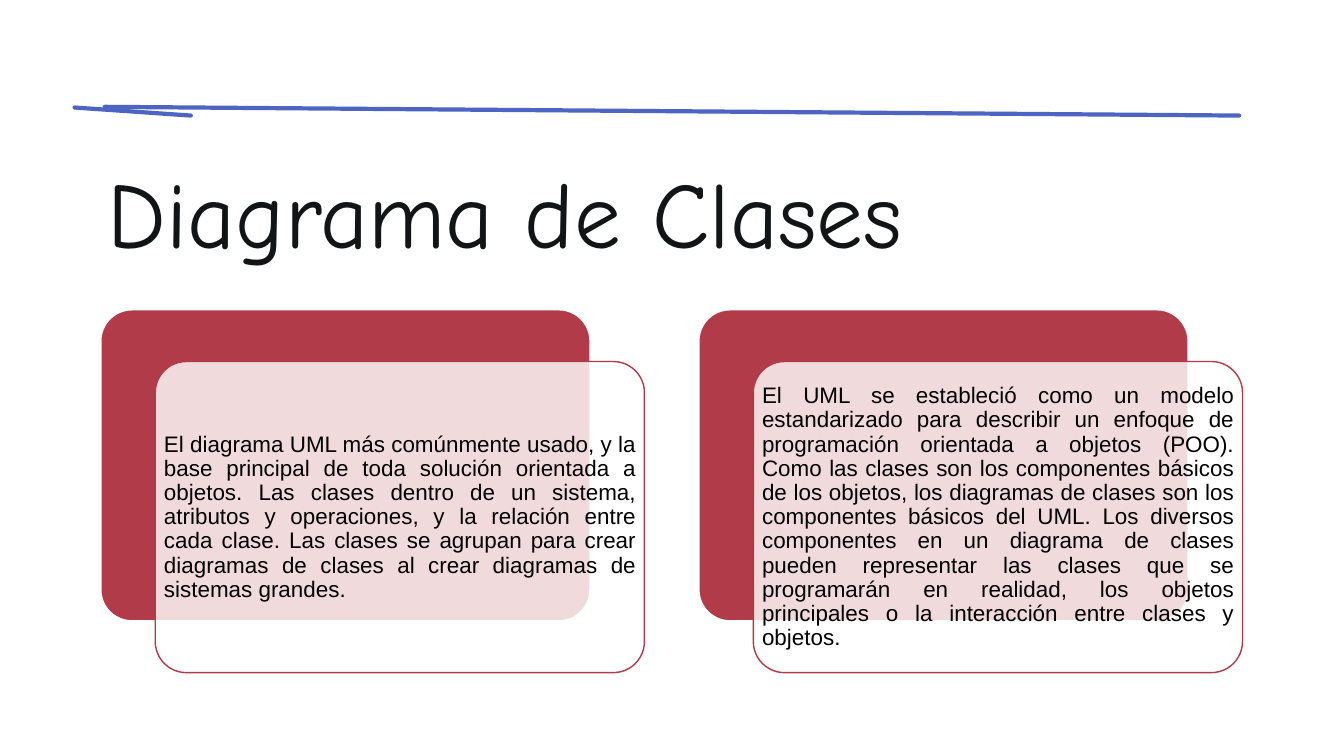
"""Builds the class diagram slide: a title under sketched rules and two layered cards."""
from dataclasses import dataclass

from lxml import etree
from pptx import Presentation
from pptx import util as u
from pptx.dml.color import RGBColor
from pptx.enum import shapes, text
from pptx.oxml.ns import qn


@dataclass(frozen=True)
class Theme:
    rule: str = "4D64C3"
    ink: str = "131416"
    body: str = "000000"
    card: str = "B13B48"
    paper: str = "FFFFFF"
    title_font: str = "Comic Neue"
    body_font: str = "Arial"
    title_size: float = 100
    title_leading: float = 115
    body_size: float = 24
    body_leading: float = 25.9
    rule_width: float = 4.5
    border_width: float = 1.5
    veil_opacity: int = 81


class SlideBuilder:
    COLUMNS, ROWS = 20, 11.25

    def __init__(self, presentation, theme):
        self.theme = theme
        self.column = presentation.slide_width / self.COLUMNS
        self.row = presentation.slide_height / self.ROWS
        self.slide = presentation.slides.add_slide(presentation.slide_layouts[6])

    def grid(self, *lengths):
        units = (self.column, self.row) * 2
        return [u.Emu(round(length * unit)) for length, unit in zip(lengths, units)]

    def rule(self, start, end):
        line = self.slide.shapes.add_connector(
            shapes.MSO_CONNECTOR.STRAIGHT, *self.grid(*start, *end))
        line.line.color.rgb = RGBColor.from_string(self.theme.rule)
        line.line.width = u.Pt(self.theme.rule_width)
        line.line._ln.set("cap", "rnd")
        etree.SubElement(line._element.spPr, qn("a:effectLst"))

    def panel(self, box, fill, border, opacity=100):
        shape = self.slide.shapes.add_shape(
            shapes.MSO_SHAPE.ROUNDED_RECTANGLE, *self.grid(*box))
        shape.adjustments[0] = 0.1
        shape.shadow.inherit = False
        shape.fill.solid()
        shape.fill.fore_color.rgb = RGBColor.from_string(fill)
        if opacity < 100:
            color = shape._element.spPr.find(qn("a:solidFill"))[0]
            etree.SubElement(color, qn("a:alpha"), val=str(opacity * 1000))
        shape.line.color.rgb = RGBColor.from_string(border)
        shape.line.width = u.Pt(self.theme.border_width)

    def text(self, box, wording, font, size, leading, color,
             align=text.PP_ALIGN.LEFT, anchor=text.MSO_ANCHOR.TOP):
        frame = self.slide.shapes.add_textbox(*self.grid(*box)).text_frame
        frame.word_wrap = True
        frame.vertical_anchor = anchor
        frame.margin_left = frame.margin_right = 0
        frame.margin_top = frame.margin_bottom = 0
        paragraph = frame.paragraphs[0]
        paragraph.alignment = align
        paragraph.line_spacing = u.Pt(leading)
        run = paragraph.add_run()
        run.text = wording
        run.font.name = font
        run.font.size = u.Pt(size)
        run.font.color.rgb = RGBColor.from_string(color)

    def title(self, box, wording):
        theme = self.theme
        self.text(box, wording, theme.title_font, theme.title_size,
                  theme.title_leading, theme.ink)

    def card(self, left, top, wording):
        theme = self.theme
        width, height, shift_x, shift_y, inset = 7.28, 4.63, 0.81, 0.77, 0.13
        front_left, front_top = left + shift_x, top + shift_y
        self.panel((left, top, width, height), theme.card, theme.paper)
        self.panel((front_left, front_top, width, height), theme.paper,
                   theme.card, theme.veil_opacity)
        self.text((front_left + inset, front_top + inset,
                   width - 2 * inset, height - 2 * inset), wording,
                  theme.body_font, theme.body_size, theme.body_leading, theme.body,
                  text.PP_ALIGN.JUSTIFY, text.MSO_ANCHOR.MIDDLE)


CARDS = (
    "El diagrama UML más comúnmente usado, y la base principal de toda solución "
    "orientada a objetos. Las clases dentro de un sistema, atributos y operaciones, "
    "y la relación entre cada clase. Las clases se agrupan para crear diagramas de "
    "clases al crear diagramas de sistemas grandes.",
    "El UML se estableció como un modelo estandarizado para describir un enfoque de "
    "programación orientada a objetos (POO). Como las clases son los componentes "
    "básicos de los objetos, los diagramas de clases son los componentes básicos del "
    "UML. Los diversos componentes en un diagrama de clases pueden representar las "
    "clases que se programarán en realidad, los objetos principales o la interacción "
    "entre clases y objetos.",
)


def main():
    presentation = Presentation()
    presentation.slide_width, presentation.slide_height = u.Inches(20), u.Inches(11.25)
    builder = SlideBuilder(presentation, Theme())
    builder.rule((1.11, 1.6), (2.84, 1.72))
    builder.title((1.6, 2.38, 16.8, 1.63), "Diagrama de Clases")
    builder.rule((1.56, 1.59), (18.44, 1.72))
    for index, wording in enumerate(CARDS):
        builder.card(1.5 + 8.9 * index, 4.61, wording)
    presentation.save("out.pptx")


if __name__ == "__main__":
    main()
